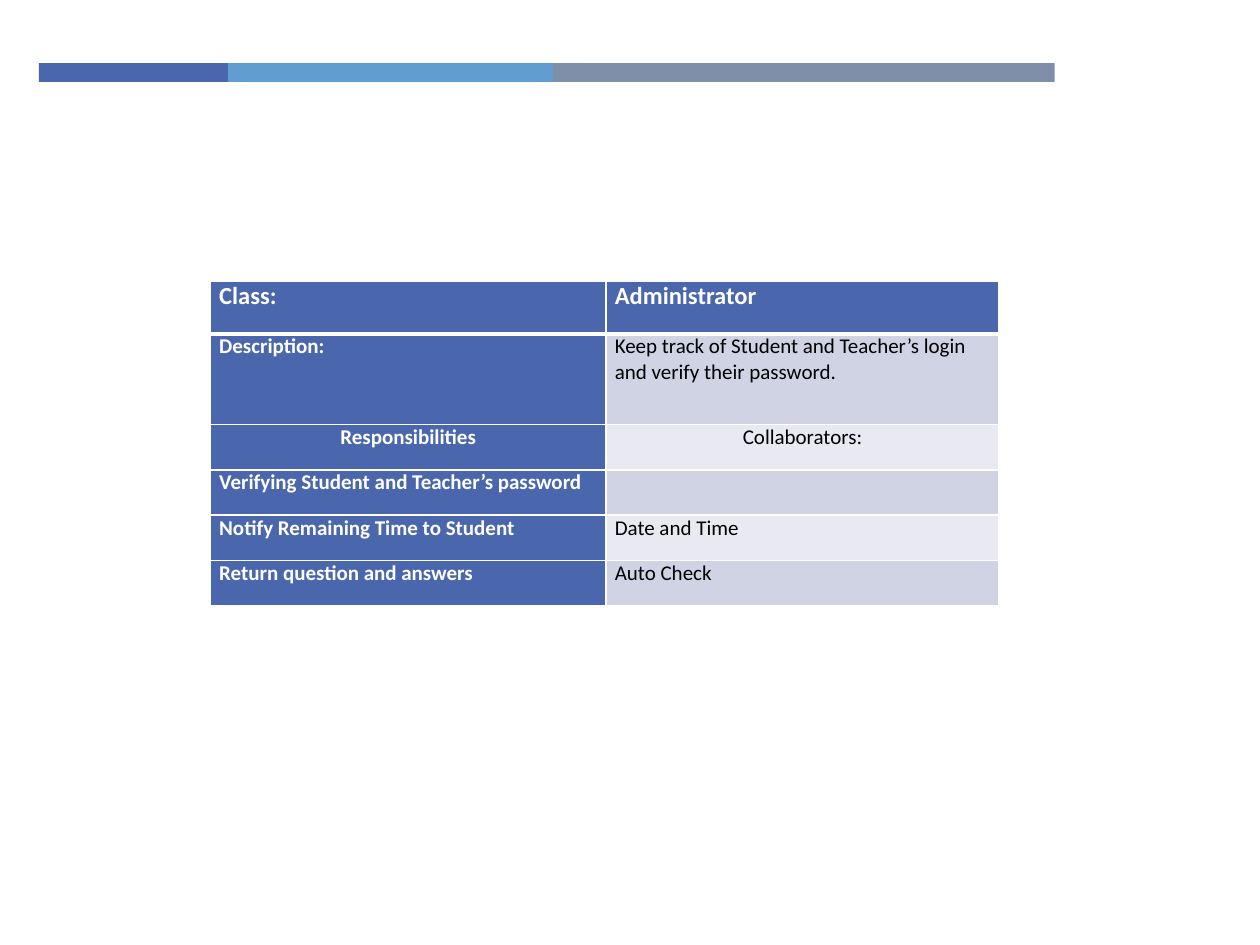
from lxml import etree
from pptx import Presentation
from pptx.dml.color import RGBColor
from pptx.enum.shapes import MSO_SHAPE
from pptx.enum.text import PP_ALIGN
from pptx.oxml.ns import qn
from pptx.util import Inches, Pt

RECTANGLE = MSO_SHAPE.RECTANGLE
LEFT, CENTER = PP_ALIGN.LEFT, PP_ALIGN.CENTER
BLUE, SKY, SLATE = "4A66AC", "629DD1", "7F8FA9"
BANDS = ("D0D3E3", "E9EAF1")
WHITE, BLACK = "FFFFFF", "000000"
COLUMN_WIDTHS = (3.14, 3.12)
ROWS = (
    (0.42, "Class:", "Administrator"),
    (0.72, "Description:", "Keep track of Student and Teacher’s login and verify their password."),
    (0.36, "Responsibilities", "Collaborators:"),
    (0.36, "Verifying Student and Teacher’s password", ""),
    (0.36, "Notify Remaining Time to Student", "Date and Time"),
    (0.36, "Return question and answers", "Auto Check"),
)
HEADING_ROW = 2


def color(value):
    """Turn a hex string into a colour."""
    return RGBColor.from_string(value)


def apply_format(target, values):
    """Set each attribute named in a dict of format values."""
    for name, value in values.items():
        setattr(target, name, value)


def paint(target, value):
    """Give a shape or cell a solid fill."""
    target.fill.solid()
    target.fill.fore_color.rgb = color(value)


def add_color_bar(slide, left, top, height):
    """Place the three joined stripes of the header bar."""
    for width, fill in ((1.5, BLUE), (2.58, SKY), (3.98, SLATE)):
        stripe = slide.shapes.add_shape(
            RECTANGLE, Inches(left), Inches(top), Inches(width), Inches(height))
        stripe.shadow.inherit = False
        stripe.line.fill.background()
        paint(stripe, fill)
        left += width


def set_borders(cell, widths):
    """Draw white borders with the given widths in points."""
    properties = cell._tc.get_or_add_tcPr()
    for position, (side, width) in enumerate(widths.items()):
        line = etree.Element(qn(f"a:ln{side}"), w=str(Pt(width)))
        fill = etree.SubElement(line, qn("a:solidFill"))
        etree.SubElement(fill, qn("a:srgbClr"), val=WHITE)
        properties.insert(position, line)


def format_cell(cell, text, row, column):
    """Fill one cell with its text, colours and borders."""
    header = row == 0
    strong = header or column == 0
    apply_format(cell, {"margin_left": Inches(0.07), "margin_right": Inches(0.07),
                        "margin_top": 0, "margin_bottom": 0})
    paint(cell, BLUE if strong else BANDS[(row - 1) % 2])
    set_borders(cell, {"L": 1, "R": 1, "T": 3 if row == 1 else 1, "B": 3 if header else 1})
    if text:
        paragraph = cell.text_frame.paragraphs[0]
        paragraph.alignment = CENTER if row == HEADING_ROW else LEFT
        run = paragraph.add_run()
        run.text = text
        apply_format(run.font, {"name": "Calibri", "size": Pt(14 if header else 12),
                                "bold": strong})
        run.font.color.rgb = color(WHITE if strong else BLACK)


def add_class_card(slide, left, top):
    """Place the class, responsibility and collaborator table."""
    height = sum(row[0] for row in ROWS)
    table = slide.shapes.add_table(
        len(ROWS), len(COLUMN_WIDTHS), Inches(left), Inches(top),
        Inches(sum(COLUMN_WIDTHS)), Inches(height)).table
    for column, width in enumerate(COLUMN_WIDTHS):
        table.columns[column].width = Inches(width)
    for row, (row_height, *texts) in enumerate(ROWS):
        table.rows[row].height = Inches(row_height)
        for column, text in enumerate(texts):
            format_cell(table.cell(row, column), text, row, column)


def build():
    """Build the slide and save the presentation."""
    presentation = Presentation()
    apply_format(presentation, {"slide_width": Inches(10), "slide_height": Inches(7.5)})
    slide = presentation.slides.add_slide(presentation.slide_layouts[6])
    add_color_bar(slide, 0.31, 0.5, 0.15)
    add_class_card(slide, 1.67, 2.23)
    presentation.save("out.pptx")


build()
